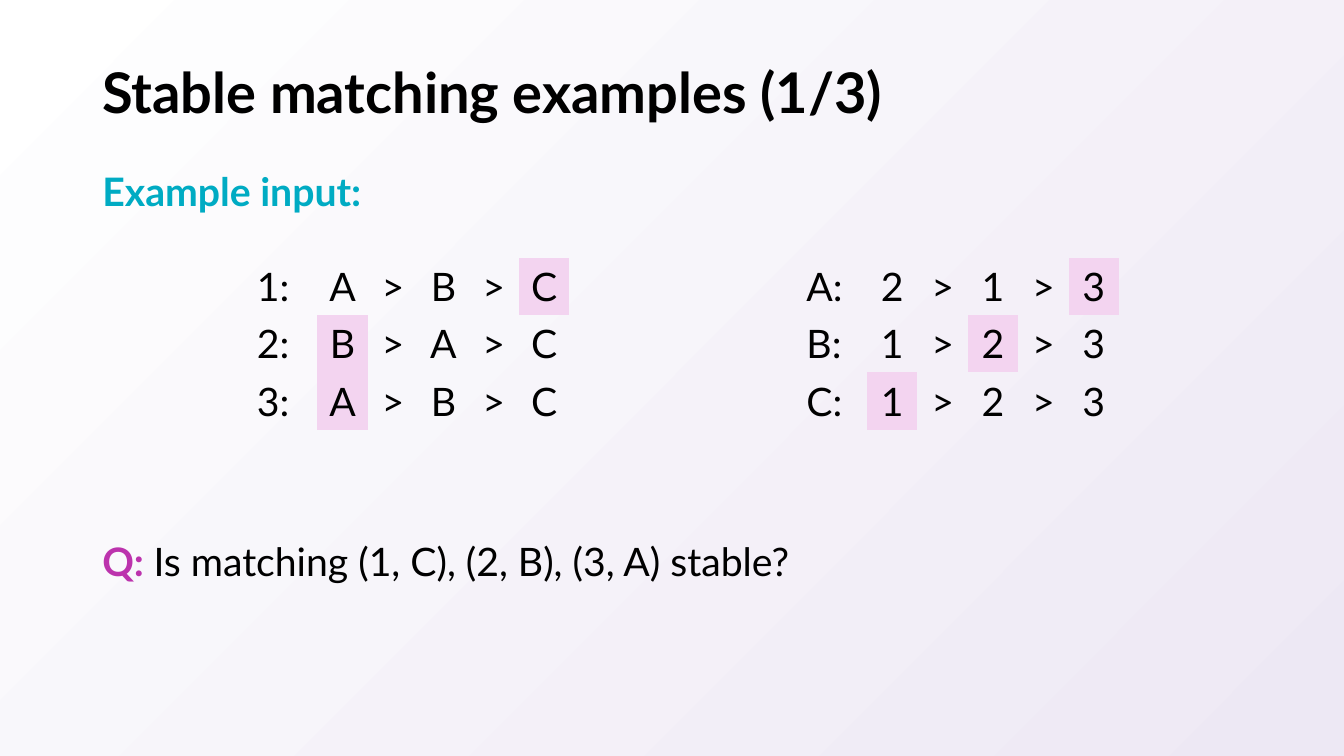
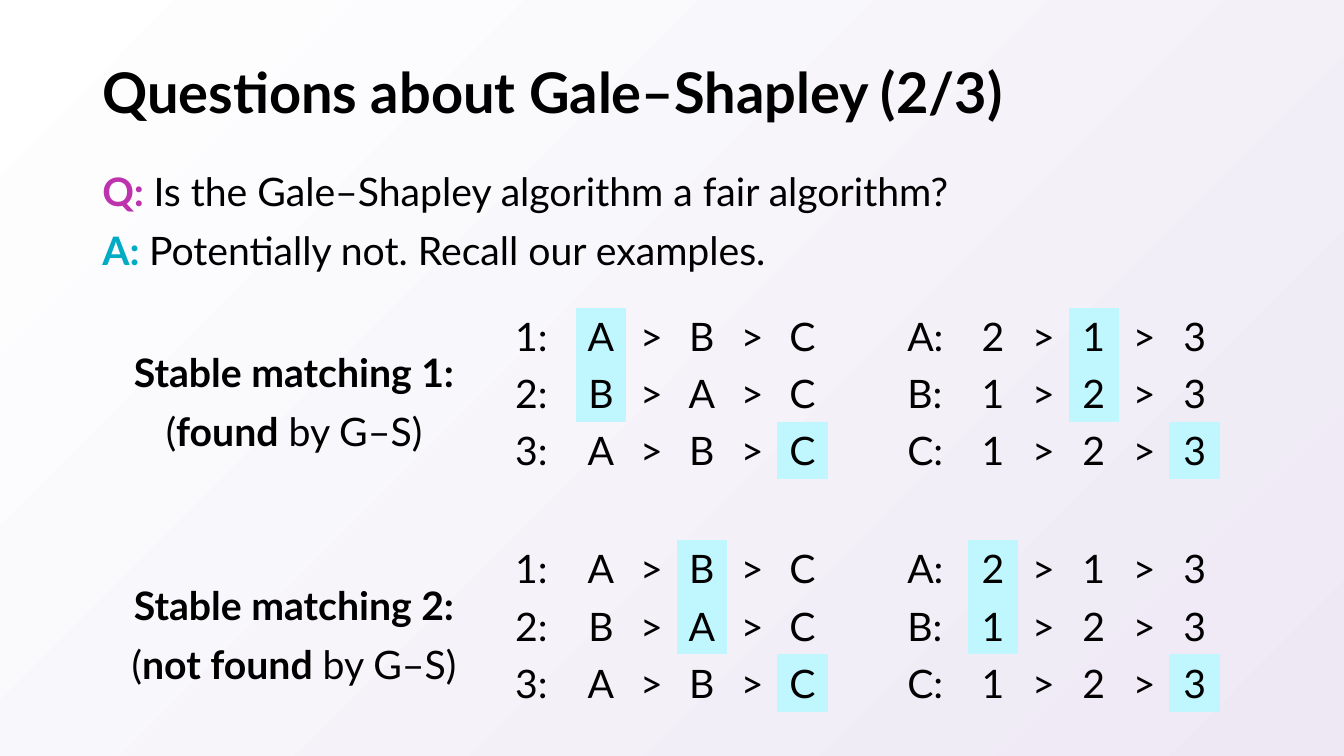
from pptx import Presentation
from pptx.dml.color import RGBColor
from pptx.enum.text import MSO_VERTICAL_ANCHOR as Anchor, PP_PARAGRAPH_ALIGNMENT as Align
from pptx.oxml.ns import qn
from pptx.util import Cm, Pt

FONT = "Lato"
BLACK = RGBColor(0x00, 0x00, 0x00)
WHITE = RGBColor(0xFF, 0xFF, 0xFF)
LAVENDER = RGBColor(0xED, 0xE8, 0xF4)
TEAL = RGBColor(0x00, 0xAB, 0xC3)
MAGENTA = RGBColor(0xBC, 0x33, 0xAD)
PALE_PINK = RGBColor(0xF3, 0xD4, 0xF0)
PALE_CYAN = RGBColor(0xC0, 0xF7, 0xFF)

NO_GRID_STYLE = "{2D5ABB26-0587-4C30-8999-92F81FD0307C}"
LEFT, WIDTH = Cm(2.33), Cm(29.21)
TITLE_TOP, TITLE_HEIGHT = Cm(1.02), Cm(2.77)
BODY_TOP, LINE_HEIGHT = Cm(3.79), Cm(1.55)
NAME_WIDTH, CHOICE_WIDTH, ROW_HEIGHT = Cm(1.78), Cm(1.27), Cm(1.44)
LABEL_OFFSET = Cm(0.61)

NUMBER_PREFERENCES = {"1": "ABC", "2": "BAC", "3": "ABC"}
LETTER_PREFERENCES = {"A": "213", "B": "123", "C": "123"}


def add_run(paragraph, text, size=28, color=BLACK, bold=False):
    """Append formatted text to a paragraph."""
    run = paragraph.add_run()
    run.text = text
    run.font.name = FONT
    run.font.size = Pt(size)
    run.font.bold = bold
    run.font.color.rgb = color


def add_text_box(slide, box, lines, anchor=Anchor.TOP, align=Align.LEFT, spacing=1.25):
    """Write one paragraph per line, each a list of (text, format) pairs."""
    frame = slide.shapes.add_textbox(*box).text_frame
    frame.word_wrap = True
    frame.vertical_anchor = anchor
    for index, line in enumerate(lines):
        paragraph = frame.add_paragraph() if index else frame.paragraphs[0]
        paragraph.alignment = align
        paragraph.line_spacing = spacing
        for text, style in line:
            add_run(paragraph, text, **style)


def add_titled_slide(presentation, title):
    """Add a blank slide with the shared title style."""
    slide = presentation.slides.add_slide(presentation.slide_layouts[6])
    add_text_box(slide, (LEFT, TITLE_TOP, WIDTH, TITLE_HEIGHT),
                 [[(title, {"size": 40, "bold": True})]], anchor=Anchor.MIDDLE, spacing=0.9)
    return slide


def add_body(slide, top, lines):
    """Place lines of body text, each with a coloured lead and plain text."""
    styled = [[(lead, {"color": color, "bold": True}), (text, {})] if text
              else [(lead, {"color": color, "bold": True})]
              for lead, color, text in lines]
    add_text_box(slide, (LEFT, top, WIDTH, LINE_HEIGHT * len(lines)), styled)


def add_preference_table(slide, left, top, preferences, partners, highlight):
    """Draw ranked choices and highlight each row's partner."""
    choice_columns = 5
    frame = slide.shapes.add_table(len(preferences), 1 + choice_columns, left, top,
                                   NAME_WIDTH + choice_columns * CHOICE_WIDTH,
                                   ROW_HEIGHT * len(preferences))
    table = frame.table
    table.first_row = table.horz_banding = False
    next(frame.element.iter(qn("a:tableStyleId"))).text = NO_GRID_STYLE
    for index, column in enumerate(table.columns):
        column.width = CHOICE_WIDTH if index else NAME_WIDTH
    for row, (name, ranking) in zip(table.rows, preferences.items()):
        row.height = ROW_HEIGHT
        for index, (cell, text) in enumerate(zip(row.cells, [name + ":", *">".join(ranking)])):
            cell.vertical_anchor = Anchor.MIDDLE
            paragraph = cell.text_frame.paragraphs[0]
            paragraph.alignment = Align.CENTER if index else Align.LEFT
            add_run(paragraph, text)
            if text == partners[name]:
                cell.fill.solid()
                cell.fill.fore_color.rgb = highlight
            else:
                cell.fill.background()


def add_matching(slide, lefts, top, matching, highlight):
    """Draw both sides' preferences with one matching highlighted."""
    reverse = {letter: number for number, letter in matching.items()}
    sides = [(NUMBER_PREFERENCES, matching), (LETTER_PREFERENCES, reverse)]
    for left, (preferences, partners) in zip(lefts, sides):
        add_preference_table(slide, left, top, preferences, partners, highlight)


def build_example_slide(presentation):
    """Build the stable matching example."""
    slide = add_titled_slide(presentation, "Stable matching examples (1/3)")
    add_body(slide, BODY_TOP, [("Example input:", TEAL, "")])
    add_matching(slide, (Cm(6.22), Cm(20.07)), Cm(6.5),
                 {"1": "C", "2": "B", "3": "A"}, PALE_PINK)
    add_body(slide, Cm(13.11), [("Q: ", MAGENTA, "Is matching (1, C), (2, B), (3, A) stable?")])


def build_fairness_slide(presentation):
    """Build the comparison of two stable matchings."""
    slide = add_titled_slide(presentation, "Questions about Gale–Shapley (2/3)")
    add_body(slide, BODY_TOP, [
        ("Q: ", MAGENTA, "Is the Gale–Shapley algorithm a fair algorithm?"),
        ("A: ", TEAL, "Potentially not. Recall our examples."),
    ])
    matchings = [
        (Cm(7.75), "Stable matching 1:", "found", {"1": "A", "2": "B", "3": "C"}),
        (Cm(13.61), "Stable matching 2:", "not found", {"1": "B", "2": "A", "3": "C"}),
    ]
    for top, heading, outcome, matching in matchings:
        add_matching(slide, (Cm(12.73), Cm(22.61)), top, matching, PALE_CYAN)
        add_text_box(slide, (Cm(2.95), top + LABEL_OFFSET, Cm(8.92), 2 * LINE_HEIGHT), [
            [(heading, {"bold": True})],
            [("(", {}), (outcome, {"bold": True}), (" by G–S)", {})],
        ], align=Align.CENTER)


def set_background(master):
    """Give every slide the diagonal white to lavender gradient."""
    fill = master.background.fill
    fill.gradient()
    fill.gradient_angle = 315
    for stop, position, color in zip(fill.gradient_stops, (0, 1), (WHITE, LAVENDER)):
        stop.position = position
        stop.color.rgb = color


def main():
    """Build and save the presentation."""
    presentation = Presentation()
    presentation.slide_width = Cm(33.87)
    presentation.slide_height = Cm(19.05)
    set_background(presentation.slide_master)
    build_example_slide(presentation)
    build_fairness_slide(presentation)
    presentation.save("out.pptx")


if __name__ == "__main__":
    main()
